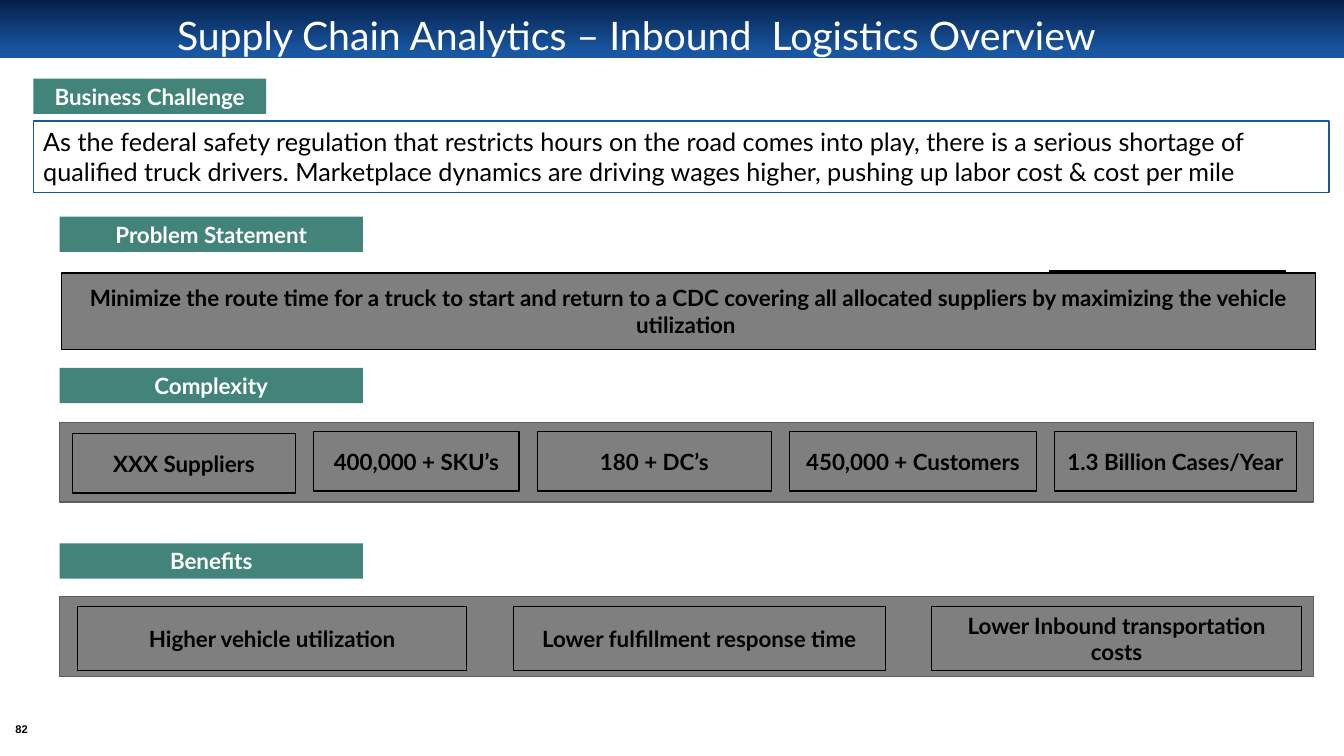
from pptx import Presentation
from pptx.dml.color import RGBColor
from pptx.enum.shapes import MSO_SHAPE
from pptx.enum.text import MSO_ANCHOR, PP_ALIGN
from pptx.util import Inches, Pt

RECTANGLE = MSO_SHAPE.RECTANGLE
TOP, MIDDLE = MSO_ANCHOR.TOP, MSO_ANCHOR.MIDDLE
LEFT, CENTER = PP_ALIGN.LEFT, PP_ALIGN.CENTER

COLORS = {
    "navy": "052049",
    "blue": "1957A3",
    "teal": "42847A",
    "gray": "7F7F7F",
    "edge": "5E5E5E",
    "black": "000000",
    "white": "FFFFFF",
}
FONTS = {
    "title": {"name": "Lato", "size": Pt(28), "bold": False},
    "challenge": {"name": "Lato", "size": Pt(18), "bold": False},
    "label": {"name": "Lato", "size": Pt(16), "bold": True},
    "number": {"name": "Arial", "size": Pt(8), "bold": True},
}
COMPLEXITY = [
    ("XXX Suppliers", 2.21, 0.11),
    ("400,000 + SKU’s", 2.04, 0.09),
    ("180 + DC’s", 2.32, 0.09),
    ("450,000 + Customers", 2.45, 0.09),
    ("1.3 Billion Cases/Year", 2.4, 0.09),
]
BENEFITS = [
    ("Higher vehicle utilization", 3.86, 0.1),
    ("Lower fulfillment response time", 3.69, 0.1),
    ("Lower Inbound transportation costs", 3.67, 0.1),
]


def color(name):
    """Return the palette colour with the given name."""
    return RGBColor.from_string(COLORS[name])


def write(holder, text, style, ink, align=CENTER, anchor=MIDDLE, wrap=True):
    """Write one formatted paragraph and return it."""
    frame = holder.text_frame
    frame.word_wrap = wrap
    frame.vertical_anchor = anchor
    paragraph = frame.paragraphs[0]
    paragraph.text = text
    paragraph.alignment = align
    for attribute, value in FONTS[style].items():
        setattr(paragraph.font, attribute, value)
    paragraph.font.color.rgb = color(ink)
    return paragraph


def add_panel(slide, box, fill, edge=None):
    """Add a plain rectangle with an optional one-point outline."""
    panel = slide.shapes.add_shape(RECTANGLE, *map(Inches, box))
    panel.shadow.inherit = False
    panel.fill.solid()
    panel.fill.fore_color.rgb = color(fill)
    if edge:
        panel.line.color.rgb = color(edge)
        panel.line.width = Pt(1)
    else:
        panel.line.fill.background()
    return panel


def add_banner(slide, box, text):
    """Add the gradient band and the slide title over it."""
    left, top, width, height = box
    band = add_panel(slide, box, "blue")
    band.fill.gradient()
    band.fill.gradient_angle = 270
    for stop, (name, position) in zip(band.fill.gradient_stops, [("navy", 0), ("blue", 0.9)]):
        stop.color.rgb = color(name)
        stop.position = position
    title = slide.shapes.add_textbox(
        Inches(left), Inches(top), Inches(width - 0.71), Inches(height + 0.16))
    write(title, text, "title", "white").line_spacing = 0.9


def add_heading(slide, box, text):
    """Add a teal section heading."""
    write(add_panel(slide, box, "teal"), text, "label", "white")


def add_challenge(slide, box, text):
    """Add the business challenge heading with its statement below."""
    left, top, width, height = box
    add_heading(slide, (left, top, 2.31, 0.35), "Business Challenge")
    statement = add_panel(slide, (left, top + 0.42, width, height - 0.42), "white", "blue")
    write(statement, text, "challenge", "black", LEFT, TOP)


def add_problem(slide, box, text):
    """Add the problem heading, the tab behind and the statement bar."""
    left, top, width, height = box
    add_heading(slide, (left, top, 3.01, 0.35), "Problem Statement")
    add_panel(slide, (left + 9.82, top + 0.54, 2.34, 0.51), "gray", "black")
    statement = add_panel(slide, (left + 0.02, top + 0.56, width, height - 0.56), "gray", "black")
    write(statement, text, "label", "black")


def add_tile_section(slide, box, heading, tiles, inset, gap, tile_height):
    """Add a heading and a gray tray holding a row of outlined tiles."""
    left, top, width, height = box
    tray_top = top + height - 0.79
    add_heading(slide, (left, top, 3.01, 0.35), heading)
    add_panel(slide, (left, tray_top, width, 0.79), "gray", "edge")
    tile_left = left + inset
    for text, tile_width, drop in tiles:
        tile_box = (tile_left, tray_top + drop, tile_width, tile_height)
        write(add_panel(slide, tile_box, "gray", "black"), text, "label", "black")
        tile_left += tile_width + gap


def add_slide_number(slide, box, text):
    """Add the slide number without margins."""
    number = slide.shapes.add_textbox(*map(Inches, box))
    for side in ("left", "top", "right", "bottom"):
        setattr(number.text_frame, f"margin_{side}", 0)
    write(number, text, "number", "black", wrap=False)


def main():
    """Build the inbound logistics overview slide."""
    deck = Presentation()
    deck.slide_width, deck.slide_height = Inches(13.33), Inches(7.5)
    slide = deck.slides.add_slide(deck.slide_layouts[6])
    add_banner(slide, (0, 0, 13.33, 0.58), "Supply Chain Analytics – Inbound  Logistics Overview")
    add_challenge(
        slide, (0.33, 0.78, 12.85, 1.13),
        "As the federal safety regulation that restricts hours on the road comes into play, "
        "there is a serious shortage of qualified truck drivers. Marketplace dynamics are "
        "driving wages higher, pushing up labor cost & cost per mile")
    add_problem(
        slide, (0.59, 2.15, 12.44, 1.32),
        "Minimize the route time for a truck to start and return to a CDC covering all "
        "allocated suppliers by maximizing the vehicle utilization ")
    add_tile_section(
        slide, (0.59, 3.65, 12.44, 1.33), "Complexity", COMPLEXITY, 0.13, 0.18, 0.59)
    add_tile_section(
        slide, (0.59, 5.39, 12.44, 1.32), "Benefits", BENEFITS, 0.18, 0.46, 0.63)
    add_slide_number(slide, (0.09, 7.14, 0.25, 0.19), "82")
    deck.save("out.pptx")


if __name__ == "__main__":
    main()
